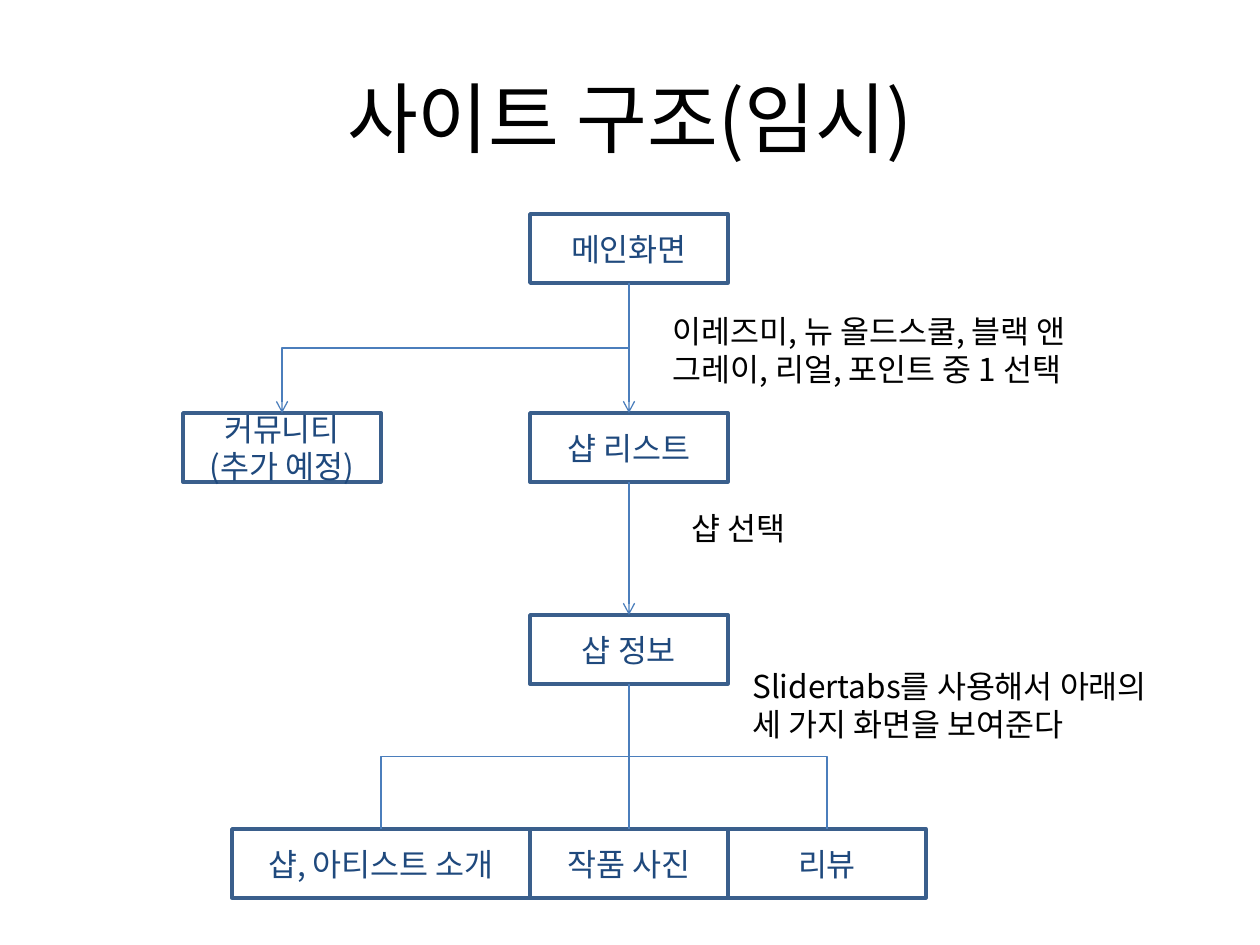
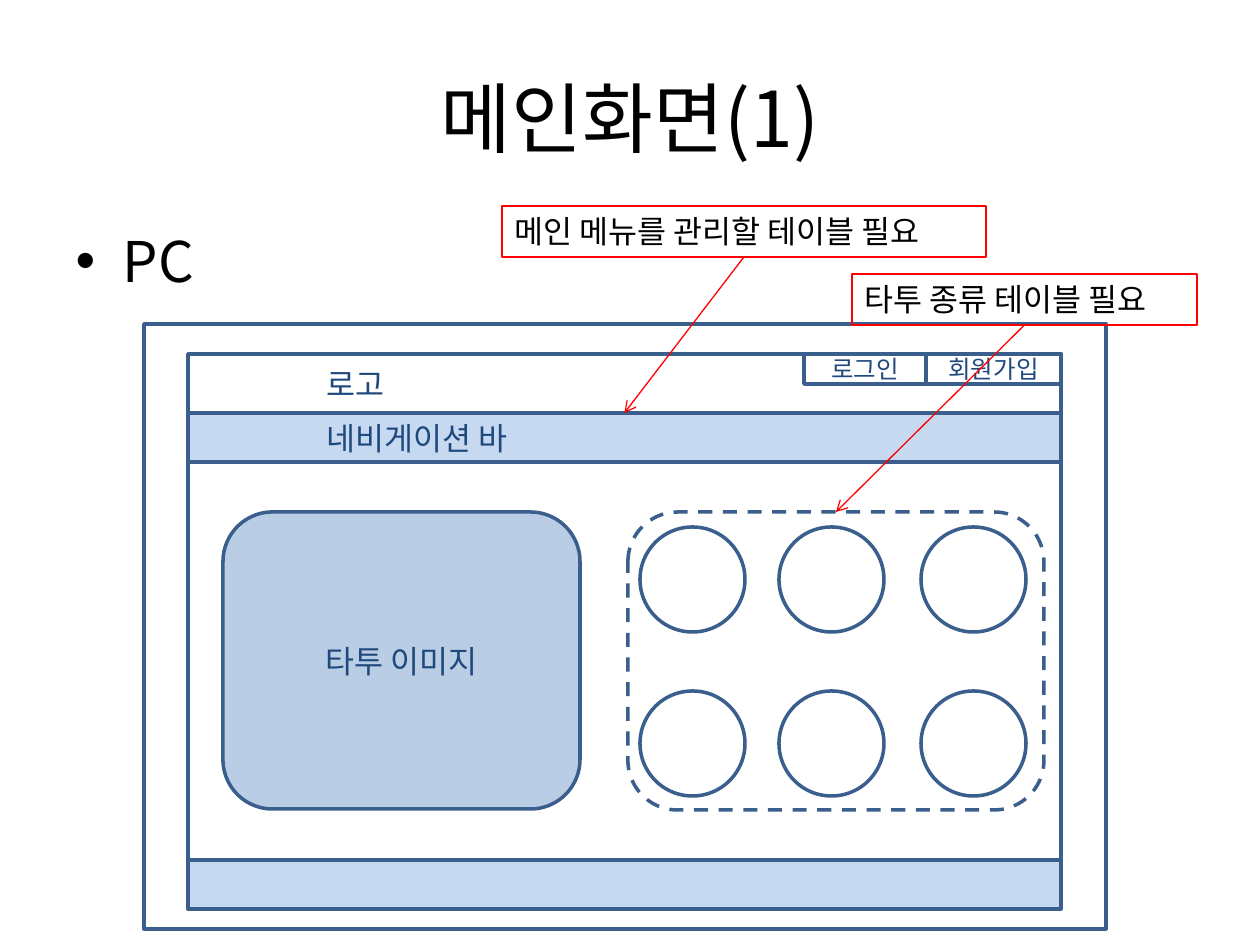
from lxml import etree
from pptx import Presentation
from pptx.dml.color import RGBColor
from pptx.enum.dml import MSO_LINE
from pptx.enum.shapes import MSO_CONNECTOR, MSO_SHAPE
from pptx.enum.text import MSO_ANCHOR, MSO_AUTO_SIZE, PP_ALIGN
from pptx.oxml.ns import qn
from pptx.util import Emu, Pt

PIXEL = 914400 // 126
FONT = "Noto Sans CJK KR"
BLACK = RGBColor(0x00, 0x00, 0x00)
NAVY = RGBColor(0x1F, 0x49, 0x7D)
OUTLINE = RGBColor(0x3A, 0x5F, 0x8C)
LINK = RGBColor(0x4B, 0x7E, 0xBC)
RED = RGBColor(0xFF, 0x00, 0x00)
BAND = RGBColor(0xC6, 0xD9, 0xF1)
IMAGE_FILL = RGBColor(0xB9, 0xCD, 0xE5)

RECTANGLE = MSO_SHAPE.RECTANGLE
ROUNDED = MSO_SHAPE.ROUNDED_RECTANGLE
OVAL = MSO_SHAPE.OVAL
STRAIGHT = MSO_CONNECTOR.STRAIGHT
ELBOW = MSO_CONNECTOR.ELBOW
DASH = MSO_LINE.DASH
MIDDLE = MSO_ANCHOR.MIDDLE
TOP = MSO_ANCHOR.TOP
FIT_SHAPE = MSO_AUTO_SIZE.SHAPE_TO_FIT_TEXT
LEFT = PP_ALIGN.LEFT
CENTER = PP_ALIGN.CENTER

TITLE_AND_CONTENT, TITLE_ONLY = 1, 5
TOP_SITE, BOTTOM_SITE = 0, 2


def px(*lengths):
    return [Emu(round(length * PIXEL)) for length in lengths]


def write(text_frame, lines, size, color, align=None):
    text_frame.text = "\n".join(lines)
    for paragraph in text_frame.paragraphs:
        paragraph.alignment = align
        paragraph.font.size = Pt(size)
        paragraph.font.name = FONT
        paragraph.font.color.rgb = color
        properties = paragraph._p.pPr.find(qn("a:defRPr"))
        etree.SubElement(properties, qn("a:ea"), typeface=FONT)


def place(shape, *box):
    shape.left, shape.top, shape.width, shape.height = px(*box)


def add_title(slide, text):
    title = slide.shapes.title
    place(title, 63, 38, 1134, 157)
    title.text_frame.vertical_anchor = MIDDLE
    write(title.text_frame, [text], 44, BLACK, CENTER)


def add_box(slide, box, lines=(), kind=RECTANGLE, fill=None, line=OUTLINE,
            weight=2, size=18, align=CENTER):
    shape = slide.shapes.add_shape(kind, *px(*box))
    shape.shadow.inherit = False
    if fill is None:
        shape.fill.background()
    else:
        shape.fill.solid()
        shape.fill.fore_color.rgb = fill
    shape.line.color.rgb = line
    shape.line.width = Pt(weight)
    if lines:
        shape.text_frame.word_wrap = True
        shape.text_frame.vertical_anchor = MIDDLE
        write(shape.text_frame, lines, size, NAVY, align)
    return shape


def add_note(slide, box, lines, wrap=False):
    text_frame = slide.shapes.add_textbox(*px(*box)).text_frame
    text_frame.word_wrap = wrap
    text_frame.auto_size = FIT_SHAPE
    write(text_frame, lines, 18, BLACK)


def style_connector(connector, color, arrow):
    connector.line.color.rgb = color
    connector.line.width = Pt(0.75)
    properties = connector.element.spPr
    if arrow:
        etree.SubElement(properties.find(qn("a:ln")), qn("a:tailEnd"), type="arrow")
    etree.SubElement(properties, qn("a:effectLst"))


def add_arrow(slide, source, target, color):
    connector = slide.shapes.add_connector(STRAIGHT, 0, 0, 0, 0)
    connector.begin_connect(source, BOTTOM_SITE)
    connector.end_connect(target, TOP_SITE)
    style_connector(connector, color, True)


def add_branch(slide, source, target, arrow=False):
    start_x, start_y = source.left + source.width // 2, source.top + source.height
    end_x, end_y = target.left + target.width // 2, target.top
    center_x, center_y = (start_x + end_x) // 2, (start_y + end_y) // 2
    half_drop = (end_y - start_y) // 2
    half_span = abs(end_x - start_x) // 2
    goes_left = end_x < start_x
    reach = half_drop if goes_left else -half_drop
    connector = slide.shapes.add_connector(
        ELBOW, center_x - reach, center_y - half_span,
        center_x + reach, center_y + half_span)
    turn = 90 if goes_left else 270
    connector.element.spPr.find(qn("a:xfrm")).set("rot", str(turn * 60000))
    style_connector(connector, LINK, arrow)


def draw_site_map(slide, left, top):
    width, height = 198, 69
    column = left + 347

    def page(x, y, *lines, box_width=width):
        return add_box(slide, (x, top + y, box_width, height), lines)

    main = page(column, 0, "메인화면")
    shop_list = page(column, 199, "샵 리스트")
    shop_info = page(column, 401, "샵 정보")
    community = page(left, 199, "커뮤니티", "(추가 예정)")
    photos = page(column, 615, "작품 사진")
    introduction = page(column - 298, 615, "샵, 아티스트 소개", box_width=298)
    review = page(column + width, 615, "리뷰")

    add_arrow(slide, main, shop_list, LINK)
    add_arrow(slide, shop_list, shop_info, LINK)
    add_branch(slide, main, community, arrow=True)
    for tab in (introduction, photos, review):
        add_branch(slide, shop_info, tab)

    add_note(slide, (left + 477, top + 92, 476, 89),
             ["이레즈미, 뉴 올드스쿨, 블랙 앤 그레이, 리얼, 포인트 중 1 선택"], wrap=True)
    add_note(slide, (left + 496, top + 289, 132, 50), ["샵 선택"])
    add_note(slide, (left + 557, top + 447, 444, 89),
             ["Slidertabs를 사용해서 아래의", "세 가지 화면을 보여준다"])


def draw_main_screen(slide, left, top, width, height):
    add_box(slide, (left, top, width, height))
    page_left, page_top, page_width = left + 44, top + 30, 873
    bar_height = 49

    def band(y, band_height, *lines, fill=None):
        shape = add_box(slide, (page_left, page_top + y, page_width, band_height),
                        lines, fill=fill, align=LEFT)
        shape.text_frame.margin_left = px(138.6)[0]
        return shape

    band(0, 59, "로고")
    for x, button_width, label in ((616, 122, "로그인"), (738, 135, "회원가입")):
        add_box(slide, (page_left + x, page_top, button_width, 30), [label], size=14)
    navigation = band(59, bar_height, "네비게이션 바", fill=BAND)
    band(108, 398)
    add_box(slide, (page_left + 35, page_top + 158, 357, 297), ["타투 이미지"],
            kind=ROUNDED, fill=IMAGE_FILL)
    for y in (173, 337):
        for x in (452, 591, 733):
            add_box(slide, (page_left + x, page_top + y, 105, 105), kind=OVAL)
    band(506, bar_height, fill=BAND)
    categories = add_box(slide, (page_left + 440, page_top + 158, 416, 298), kind=ROUNDED)
    categories.line.dash_style = DASH
    return navigation, categories


def add_callout(slide, box, text, target):
    callout = add_box(slide, box, line=RED, weight=0.75)
    text_frame = callout.text_frame
    text_frame.word_wrap = False
    text_frame.auto_size = FIT_SHAPE
    text_frame.vertical_anchor = TOP
    write(text_frame, [text], 18, BLACK, LEFT)
    add_arrow(slide, callout, target, RED)


def build_structure_slide(presentation):
    slide = presentation.slides.add_slide(presentation.slide_layouts[TITLE_ONLY])
    add_title(slide, "사이트 구조(임시)")
    draw_site_map(slide, 183, 214)


def build_main_screen_slide(presentation):
    slide = presentation.slides.add_slide(presentation.slide_layouts[TITLE_AND_CONTENT])
    add_title(slide, "메인화면(1)")
    body = slide.placeholders[1]
    place(body, 63, 220, 1134, 624)
    write(body.text_frame, ["PC"], 32, BLACK)
    navigation, categories = draw_main_screen(slide, 144, 324, 962, 605)
    add_callout(slide, (502, 206, 484, 51), "메인 메뉴를 관리할 테이블 필요", navigation)
    add_callout(slide, (852, 274, 345, 51), "타투 종류 테이블 필요", categories)


presentation = Presentation()
presentation.slide_width, presentation.slide_height = px(1260, 945)
build_structure_slide(presentation)
build_main_screen_slide(presentation)
presentation.save("out.pptx")
